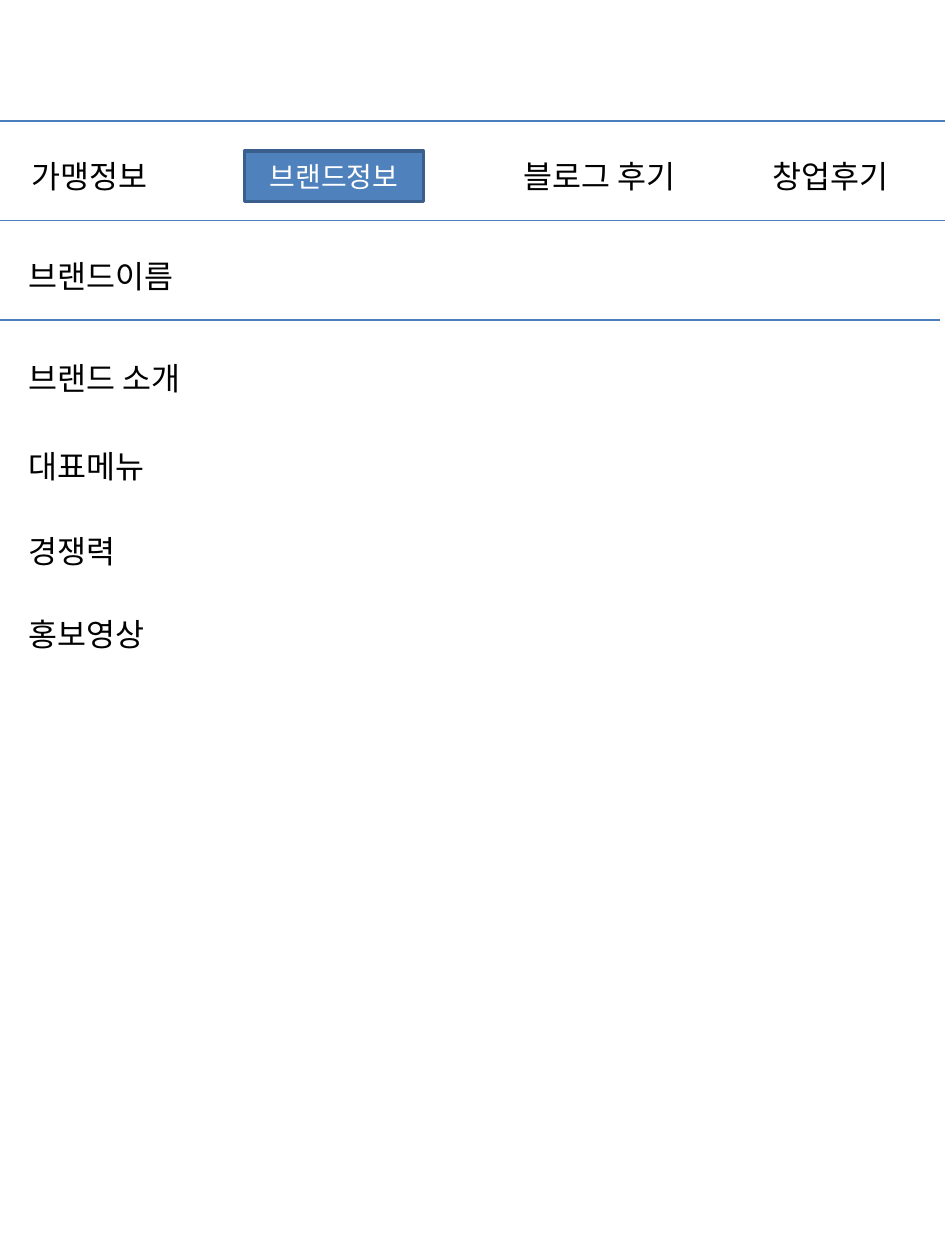
from dataclasses import dataclass

from lxml.etree import SubElement
from pptx import Presentation
from pptx.dml.color import RGBColor
from pptx.enum.shapes import MSO_CONNECTOR as Connector, MSO_SHAPE as Preset
from pptx.enum.text import MSO_ANCHOR as Anchor, MSO_AUTO_SIZE as AutoSize, PP_ALIGN as Align
from pptx.oxml.ns import qn
from pptx.slide import Slide
from pptx.text.text import TextFrame
from pptx.util import Inches, Pt

FONT = "Noto Sans CJK KR"
MENU_TOP = 1.2
ROW_HEIGHT = 0.4
LABEL_WIDTH = 2.05
SECTION_LEFT = 0.13


@dataclass(frozen=True)
class Label:
    text: str
    left: float
    top: float


@dataclass(frozen=True)
class Rule:
    top: float
    right: float = 7.5


RULES = [Rule(0.96), Rule(1.75), Rule(2.54, 7.46)]
MENU = [
    Label(text, left, MENU_TOP)
    for text, left in [("가맹정보", 0.15), ("블로그 후기", 4.06), ("창업후기", 6.03)]
]
ACTIVE_TAB = Label("브랜드정보", 1.94, MENU_TOP)
SECTIONS = [
    Label(text, SECTION_LEFT, top)
    for text, top in [
        ("브랜드이름", 1.99),
        ("브랜드 소개", 2.8),
        ("대표메뉴", 3.5),
        ("경쟁력", 4.17),
        ("홍보영상", 4.83),
    ]
]


def color(value: str) -> RGBColor:
    return RGBColor.from_string(value)


def apply(target: object, values: dict) -> None:
    for name, value in values.items():
        setattr(target, name, value)


def write(frame: TextFrame, text: str, size: float, ink: str, align: Align) -> None:
    para = frame.paragraphs[0]
    para.alignment = align
    span = para.add_run()
    span.text = text
    apply(span.font, {"name": FONT, "size": Pt(size)})
    span.font.color.rgb = color(ink)
    SubElement(span.font._element, qn("a:ea"), typeface=FONT)


def draw_rule(page: Slide, rule: Rule) -> None:
    line = page.shapes.add_connector(
        Connector.STRAIGHT, 0, Inches(rule.top), Inches(rule.right), Inches(rule.top)
    )
    line.line.width = Pt(0.75)
    line.line.color.rgb = color("4B7EBC")
    SubElement(line._element.spPr, qn("a:effectLst"))


def draw_label(page: Slide, label: Label) -> None:
    box = page.shapes.add_textbox(
        Inches(label.left), Inches(label.top), Inches(LABEL_WIDTH), Inches(ROW_HEIGHT)
    )
    apply(box.text_frame, {"word_wrap": True, "auto_size": AutoSize.SHAPE_TO_FIT_TEXT})
    write(box.text_frame, label.text, 18, "000000", Align.LEFT)


def draw_active_tab(page: Slide, tab: Label) -> None:
    box = page.shapes.add_shape(
        Preset.RECTANGLE, Inches(tab.left), Inches(tab.top), Inches(1.42), Inches(ROW_HEIGHT)
    )
    box.shadow.inherit = False
    box.fill.solid()
    box.fill.fore_color.rgb = color("4F81BD")
    box.line.width = Pt(2)
    box.line.color.rgb = color("3A5F8C")
    apply(box.text_frame, {"word_wrap": True, "vertical_anchor": Anchor.MIDDLE})
    write(box.text_frame, tab.text, 16, "FFFFFF", Align.CENTER)


def main() -> None:
    deck = Presentation()
    apply(deck, {"slide_width": Inches(7.5), "slide_height": Inches(10)})
    page = deck.slides.add_slide(deck.slide_layouts[6])
    for rule in RULES:
        draw_rule(page, rule)
    for label in MENU + SECTIONS:
        draw_label(page, label)
    draw_active_tab(page, ACTIVE_TAB)
    deck.save("out.pptx")


if __name__ == "__main__":
    main()
